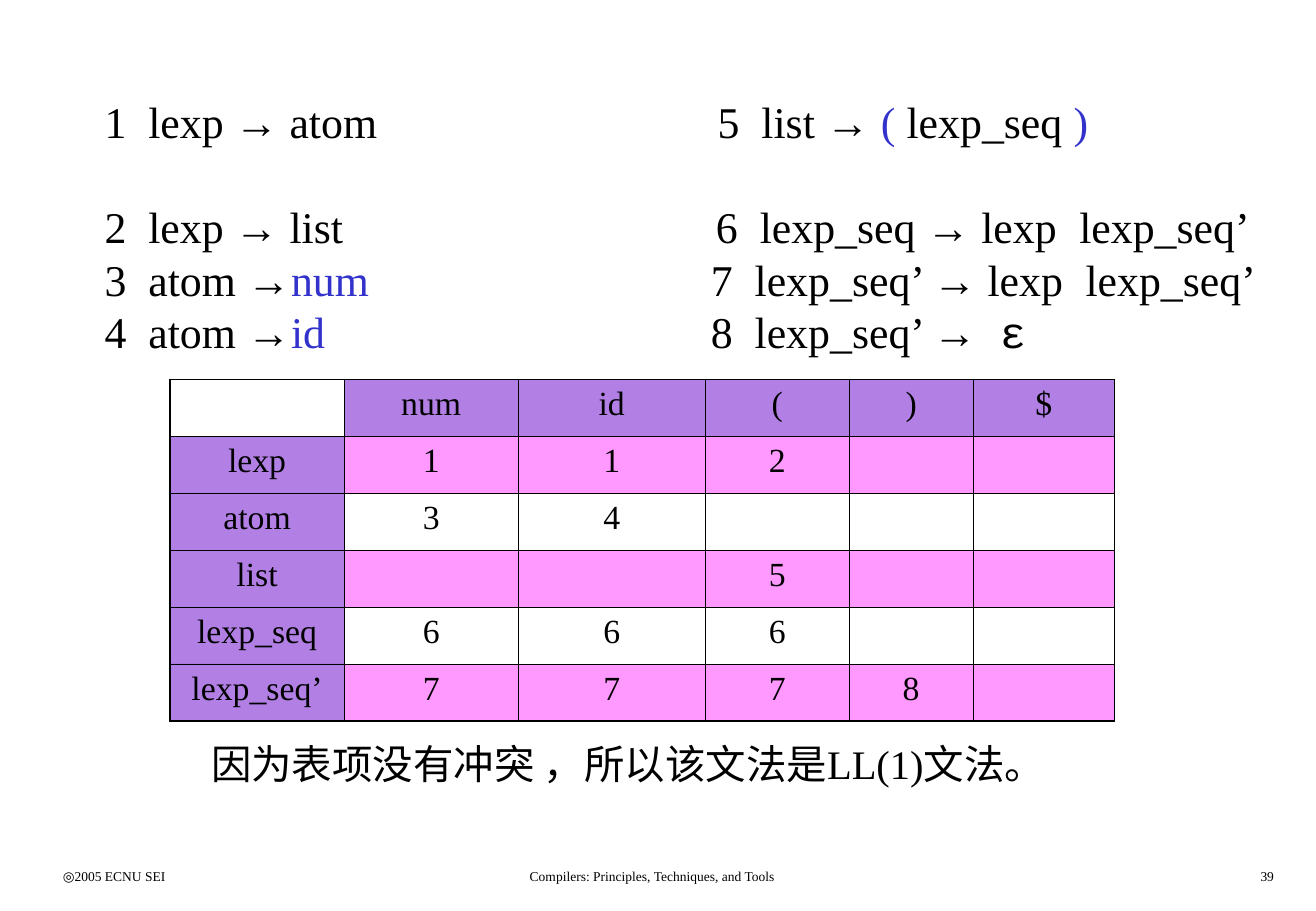
import pptx
import pptx.dml.color
import pptx.enum.text
import pptx.oxml
import pptx.oxml.ns
import pptx.util
from lxml import etree

Pt = pptx.util.Pt
qn = pptx.oxml.ns.qn
ALIGN = pptx.enum.text.PP_ALIGN
ANCHOR = pptx.enum.text.MSO_ANCHOR

COLORS = {"ink": "000000", "terminal": "3333CC", "header": "6600CC", "band": "FF99FF"}
SERIF, MONO = "Times New Roman", "Courier New"

PRODUCTIONS = [
    {"spans": [("1\tlexp → atom\t5\tlist → ", {}), ("( ", {"color": "terminal"}),
               ("lexp_seq ", {}), (")", {"color": "terminal"})],
     "right": 363.6, "tail": 0},
    {"spans": [("2\tlexp → list\t6\tlexp_seq → lexp\tlexp_seq’", {})],
     "right": 362.6, "tail": 215.5},
    {"spans": [("3\tatom →", {}), ("num", {"color": "terminal"}),
               ("\t7\tlexp_seq’ → lexp\tlexp_seq’", {})],
     "right": 359.6, "tail": 222.2},
    {"spans": [("4\tatom →", {}), ("id", {"color": "terminal"}),
               ("\t8\tlexp_seq’ →\t", {}), ("ε", {"font": MONO})],
     "right": 359.6, "tail": 171.4},
]
PARSE_TABLE = [
    ["", "num", "id", "(", ")", "$"],
    ["lexp", "1", "1", "2", "", ""],
    ["atom", "3", "4", "", "", ""],
    ["list", "", "", "5", "", ""],
    ["lexp_seq", "6", "6", "6", "", ""],
    ["lexp_seq’", "7", "7", "7", "8", ""],
]
COLUMN_WIDTHS = [103.4, 103.2, 110.9, 85.4, 73.5, 83.8]
CONCLUSION = "因为表项没有冲突 ，所以该文法是LL(1)文法。"
FOOTERS = [
    ("◎2005 ECNU SEI", 30.2, 162.7, ALIGN.LEFT),
    ("Compilers: Principles, Techniques, and Tools", 240.8, 292.3, ALIGN.CENTER),
    ("39", 600, 162.7, ALIGN.RIGHT),
]
NUMBER_GAP = 26
LINE_PITCH = 31.2
ROW_HEIGHT = 33.75
THIN, THICK = 0.45, 1.08


def add_span(para, text, size=20, color="ink", font=SERIF):
    span = para.add_run()
    span.text = text
    span.font.size = Pt(size)
    span.font.name = font
    span.font.color.rgb = pptx.dml.color.RGBColor.from_string(COLORS[color])


def add_box(page, left, top, width, height, wrap=True, anchor=ANCHOR.TOP):
    box = page.shapes.add_textbox(Pt(left), Pt(top), Pt(width), Pt(height))
    box.text_frame.word_wrap = wrap
    box.text_frame.vertical_anchor = anchor
    return box.text_frame


def add_line(page, text, left, top, width, height, size, align=ALIGN.LEFT, wrap=True):
    frame = add_box(page, left, top, width, height, wrap)
    frame.paragraphs[0].alignment = align
    add_span(frame.paragraphs[0], text, size=size)
    return frame


def set_tabs(para, stops):
    tabs = etree.SubElement(para._p.get_or_add_pPr(), qn("a:tabLst"))
    for stop in stops:
        etree.SubElement(tabs, qn("a:tab"), pos=str(int(Pt(stop))), algn="l")


def add_grammar(page):
    frame = add_box(page, 15.8, 49, 743, 169.9, anchor=ANCHOR.MIDDLE)
    frame.margin_left = Pt(46.2)
    for index, production in enumerate(PRODUCTIONS):
        para = frame.add_paragraph() if index else frame.paragraphs[0]
        right, tail = production["right"], production["tail"]
        stops = [NUMBER_GAP, right, right + NUMBER_GAP]
        set_tabs(para, stops + [right + tail] if tail else stops)
        para.line_spacing = Pt(LINE_PITCH)
        if index == 1:
            para.space_before = Pt(LINE_PITCH)
        for text, style in production["spans"]:
            add_span(para, text, size=26, **style)


def fill_cell(cell, color=None, alpha=None):
    if color is None:
        cell.fill.background()
        return
    cell.fill.solid()
    cell.fill.fore_color.rgb = pptx.dml.color.RGBColor.from_string(COLORS[color])
    if alpha:
        tint = cell._tc.tcPr.find(".//" + qn("a:srgbClr"))
        etree.SubElement(tint, qn("a:alpha"), val=str(alpha * 1000))


def border_cell(cell, widths):
    for position, (side, width) in enumerate(widths.items()):
        line = pptx.oxml.parse_xml(
            f'<a:ln{side} {pptx.oxml.ns.nsdecls("a")} w="{int(Pt(width))}"><a:solidFill>'
            f'<a:srgbClr val="{COLORS["ink"]}"/></a:solidFill></a:ln{side}>')
        cell._tc.get_or_add_tcPr().insert(position, line)


def add_parse_table(page):
    last_row, last_column = len(PARSE_TABLE) - 1, len(COLUMN_WIDTHS) - 1
    table = page.shapes.add_table(
        last_row + 1, last_column + 1, Pt(100.8), Pt(224.9),
        Pt(sum(COLUMN_WIDTHS)), Pt(ROW_HEIGHT * len(PARSE_TABLE))).table
    table.first_row = table.horz_banding = False
    for column, width in zip(table.columns, COLUMN_WIDTHS):
        column.width = Pt(width)
    for r, entries in enumerate(PARSE_TABLE):
        table.rows[r].height = Pt(ROW_HEIGHT)
        for c, entry in enumerate(entries):
            cell = table.cell(r, c)
            if entry:
                cell.text_frame.paragraphs[0].alignment = ALIGN.CENTER
                add_span(cell.text_frame.paragraphs[0], entry)
            if (r == 0) != (c == 0):
                fill_cell(cell, "header", alpha=50)
            else:
                fill_cell(cell, "band" if r % 2 else None)
            outer = {"L": c == 0, "R": c == last_column, "T": r == 0, "B": r == last_row}
            border_cell(cell, {side: THICK if edge else THIN for side, edge in outer.items()})


def main():
    """Build the LL(1) parsing table slide."""
    deck = pptx.Presentation()
    deck.slide_width = Pt(780.48)
    deck.slide_height = Pt(540)
    page = deck.slides.add_slide(deck.slide_layouts[6])
    for text, left, width, align in FOOTERS:
        add_line(page, text, left, 510.8, width, 18, 8, align)
    add_grammar(page)
    add_parse_table(page)
    conclusion = add_line(page, CONCLUSION, 118.1, 434.6, 520.6, 36, 24, wrap=False)
    conclusion.auto_size = pptx.enum.text.MSO_AUTO_SIZE.SHAPE_TO_FIT_TEXT
    deck.save("out.pptx")


if __name__ == "__main__":
    main()
